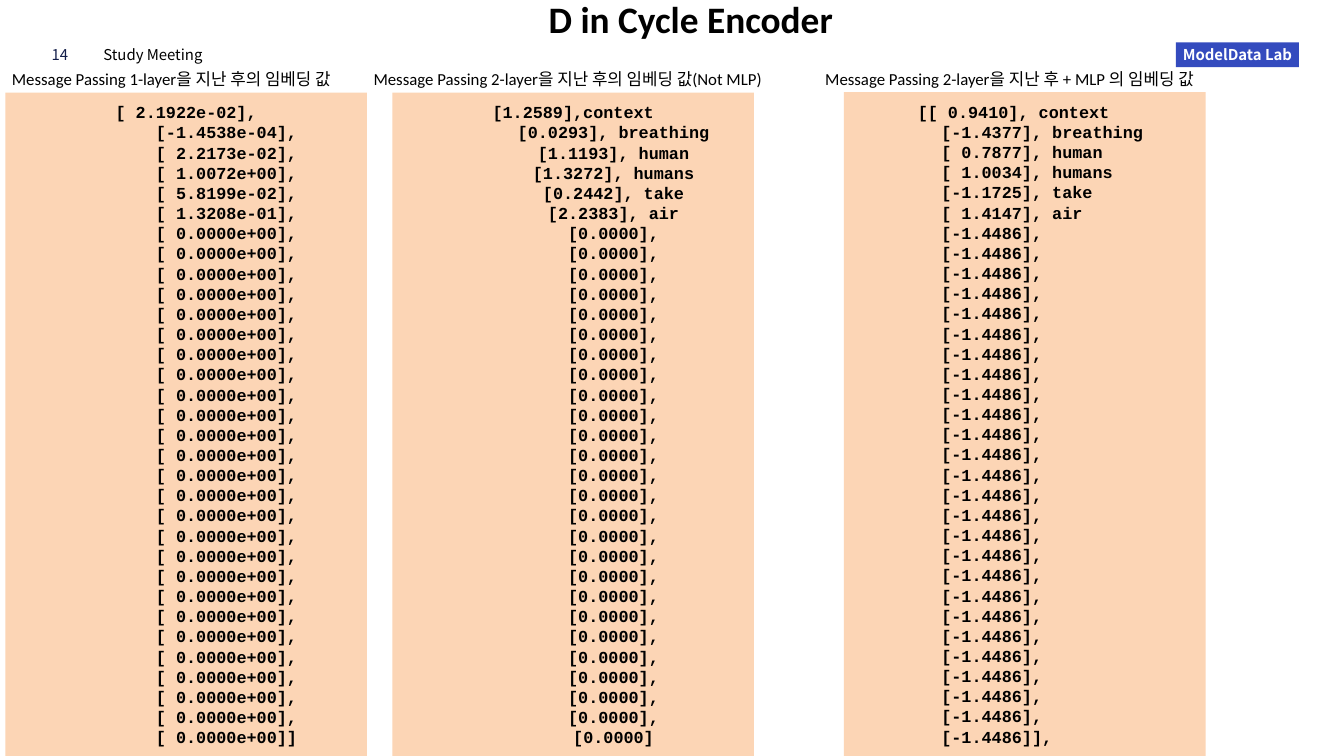
from dataclasses import dataclass

from pptx import Presentation
from pptx.dml.color import RGBColor
from pptx.enum.shapes import MSO_SHAPE
from pptx.enum.text import MSO_ANCHOR, PP_ALIGN
from pptx.util import Cm, Pt

TITLE = "D in Cycle Encoder"
PAGE_NUMBER = "14"
MEETING = "Study Meeting"
LAB = "ModelData Lab"
LINE_COUNT = 32

COLUMNS = [
    {
        "caption": "Message Passing 1-layer을 지난 후의 임베딩 값",
        "caption_box": (0.2, 2.49, 14.99, 1.8),
        "panel_at": (0.2, 3.5),
        "first": ["[ 2.1922e-02],", "[-1.4538e-04],", "[ 2.2173e-02],",
                  "[ 1.0072e+00],", "[ 5.8199e-02],", "[ 1.3208e-01],"],
        "filler": "[ 0.0000e+00],",
        "last": "[ 0.0000e+00]]",
        "align": PP_ALIGN.CENTER,
        "indents": (0, 3.05),
    },
    {
        "caption": "Message Passing 2-layer을 지난 후의 임베딩 값(Not MLP)",
        "caption_box": (13.87, 2.49, 17.32, 1.8),
        "panel_at": (14.83, 3.5),
        "first": ["[1.2589],context", "[0.0293], breathing", "[1.1193], human",
                  "[1.3272], humans", "[0.2442], take", "[2.2383], air"],
        "filler": "[0.0000],",
        "last": "[0.0000]",
        "align": PP_ALIGN.CENTER,
        "indents": (0, 3.05),
    },
    {
        "caption": "Message Passing 2-layer을 지난 후 + MLP 의 임베딩 값",
        "caption_box": (30.94, 2.46, 17.32, 1.02),
        "panel_at": (31.9, 3.48),
        "first": ["[[ 0.9410], context", "[-1.4377], breathing", "[ 0.7877], human",
                  "[ 1.0034], humans", "[-1.1725], take", "[ 1.4147], air"],
        "filler": "[-1.4486],",
        "last": "[-1.4486]],",
        "align": PP_ALIGN.LEFT,
        "indents": (2.54, 3.43),
    },
]
PANEL_SIZE = (13.67, 25.1)


@dataclass(frozen=True)
class Theme:
    """Colours, fonts and type sizes of the slide."""
    ink: RGBColor = RGBColor(0x00, 0x00, 0x00)
    navy: RGBColor = RGBColor(0x12, 0x1D, 0x49)
    white: RGBColor = RGBColor(0xFF, 0xFF, 0xFF)
    badge: RGBColor = RGBColor(0x34, 0x4B, 0xBE)
    panel: RGBColor = RGBColor(0xFC, 0xD5, 0xB5)
    text_font: str = "Calibri"
    header_font: str = "Noto Sans CJK KR"
    code_font: str = "Courier New"
    title_size: int = 40
    body_size: int = 18
    header_size: int = 16
    code_leading: float = 21.6


THEME = Theme()


def add_span(para, text, font, size, color, bold=False):
    """Add one formatted run to a paragraph."""
    span = para.add_run()
    span.text = text
    span.font.name = font
    span.font.size = Pt(size)
    span.font.color.rgb = color
    span.font.bold = bold


def add_label(page, box, text, font, size, color):
    """Add a wrapping one-paragraph text box."""
    label = page.shapes.add_textbox(*map(Cm, box))
    label.text_frame.word_wrap = True
    add_span(label.text_frame.paragraphs[0], text, font, size, color)


def add_block(page, box, color):
    """Add a plain filled rectangle and return its text frame."""
    block = page.shapes.add_shape(MSO_SHAPE.RECTANGLE, *map(Cm, box))
    block.shadow.inherit = False
    block.fill.solid()
    block.fill.fore_color.rgb = color
    block.line.fill.background()
    block.text_frame.word_wrap = True
    block.text_frame.vertical_anchor = MSO_ANCHOR.MIDDLE
    return block.text_frame


def add_title(page):
    """Move and format the title placeholder."""
    title = page.shapes.title
    title.left, title.top, title.width, title.height = map(Cm, (20.42, -0.28, 11.38, 1.96))
    frame = title.text_frame
    frame.word_wrap = False
    frame.vertical_anchor = MSO_ANCHOR.TOP
    para = frame.paragraphs[0]
    para.alignment = PP_ALIGN.CENTER
    add_span(para, TITLE, THEME.text_font, THEME.title_size, THEME.ink, True)


def add_header(page):
    """Add the page number, the meeting name and the lab badge."""
    for box, text, color in (((1.7, 1.6, 1.47, 0.94), PAGE_NUMBER, THEME.navy),
                             ((3.66, 1.6, 5.72, 0.94), MEETING, THEME.ink)):
        add_label(page, box, text, THEME.header_font, THEME.header_size, color)
    frame = add_block(page, (44.45, 1.6, 4.65, 0.94), THEME.badge)
    frame.margin_left = frame.margin_right = 0
    para = frame.paragraphs[0]
    para.alignment = PP_ALIGN.CENTER
    add_span(para, LAB, THEME.header_font, THEME.header_size, THEME.white, True)


def add_column(page, column):
    """Add one caption and its panel of embedding values."""
    add_label(page, column["caption_box"], column["caption"],
              THEME.text_font, THEME.body_size, THEME.ink)
    frame = add_block(page, column["panel_at"] + PANEL_SIZE, THEME.panel)
    filler_count = LINE_COUNT - len(column["first"]) - 1
    lines = column["first"] + [column["filler"]] * filler_count + [column["last"]]
    for index, line in enumerate(lines):
        para = frame.add_paragraph() if index else frame.paragraphs[0]
        para.alignment = column["align"]
        para.line_spacing = Pt(THEME.code_leading)
        indent = column["indents"][min(index, 1)]
        para._p.get_or_add_pPr().set("marL", str(int(Cm(indent))))
        add_span(para, line, THEME.code_font, THEME.body_size, THEME.ink, True)


def build():
    """Build and save the deck."""
    deck = Presentation()
    deck.slide_width, deck.slide_height = Cm(50.8), Cm(28.58)
    page = deck.slides.add_slide(deck.slide_layouts[5])
    add_header(page)
    for column in COLUMNS:
        add_column(page, column)
    add_title(page)
    deck.save("out.pptx")


build()
